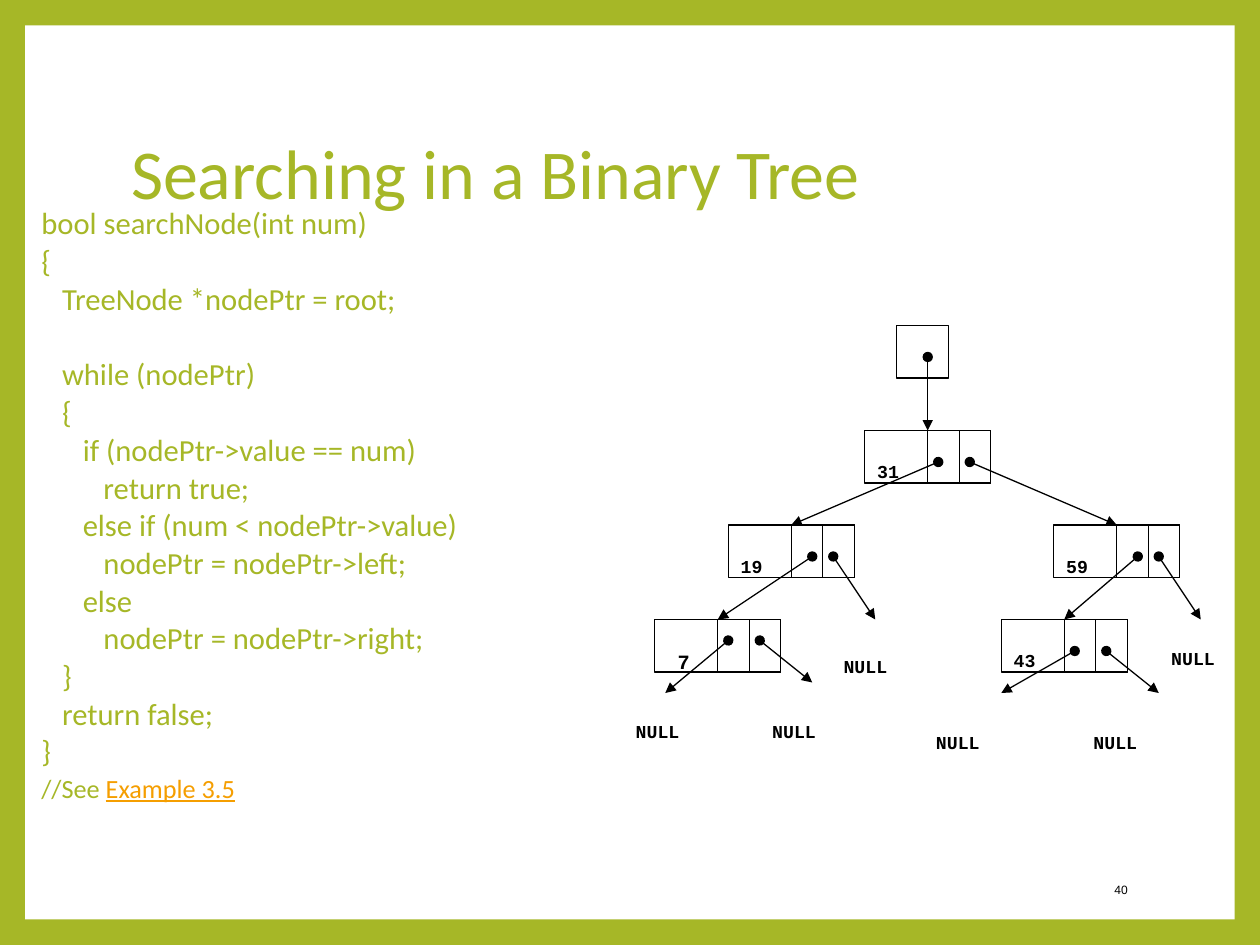
from pptx import Presentation
from pptx.dml.color import RGBColor
from pptx.enum.shapes import MSO_CONNECTOR, MSO_SHAPE
from pptx.enum.text import MSO_ANCHOR, PP_ALIGN
from pptx.oxml.ns import qn
from pptx.util import Inches, Pt
from lxml.etree import SubElement

COLORS = {"green": "A6B727", "white": "FFFFFF", "black": "000000", "link": "F59E00"}
CELLS_PER_INCH = 12
GRID_LEFT = 0.03
CODE = """bool searchNode(int num)
{
   TreeNode *nodePtr = root;

   while (nodePtr)
   {
      if (nodePtr->value == num)
         return true;
      else if (num < nodePtr->value)
         nodePtr = nodePtr->left;
      else
         nodePtr = nodePtr->right;
   }
   return false;
}"""
NODES = {"31": (82, 41), "59": (100, 50), "19": (69, 50), "7": (62, 59), "43": (95, 59)}
CHILD_LINKS = [
    ((89, 44), "19"), ((92, 44), "59"), ((77, 53), "7"), ((108, 53), "43"),
]
NULL_LINKS = [
    ((79, 53), (83, 59), (78.8, 59.8)), ((110, 53), (114, 59), (110, 59)),
    ((69, 61), (63, 66), (59, 66)), ((72, 61), (77, 65), (72, 66)),
    ((102, 62), (95, 66), (87.6, 67)), ((105, 62), (110, 66), (102.6, 67)),
]


def color(name):
    return RGBColor.from_string(COLORS[name])


def grid(column, row):
    return Inches(GRID_LEFT + column / CELLS_PER_INCH), Inches(row / CELLS_PER_INCH)


def cells(count):
    return Inches(count / CELLS_PER_INCH)


class TreeSlide:
    def __init__(self, presentation):
        self.slide = presentation.slides.add_slide(presentation.slide_layouts[5])
        self.shapes = self.slide.shapes
        self.width = presentation.slide_width
        self.height = presentation.slide_height
        self.slide.background.fill.solid()
        self.slide.background.fill.fore_color.rgb = color("green")

    def area(self, left, top, width, height):
        return (int(left * self.width), int(top * self.height),
                int(width * self.width), int(height * self.height))

    def run(self, paragraph, text, size, face, tint, bold=False, lowered=False):
        run = paragraph.add_run()
        run.text = text
        run.font.size = Pt(size)
        run.font.name = face
        run.font.bold = bold
        run.font.color.rgb = color(tint)
        if lowered:
            run.font._element.set("baseline", "-25000")
        return run

    def frame(self):
        shape = self.shapes.add_shape(
            MSO_SHAPE.RECTANGLE, *self.area(0.02, 0.027, 0.96, 0.946))
        shape.shadow.inherit = False
        shape.fill.solid()
        shape.fill.fore_color.rgb = color("white")
        shape.line.fill.background()
        self.shapes._spTree.insert(2, shape._element)

    def title(self, text):
        shape = self.shapes.title
        shape.left, shape.top, shape.width, shape.height = self.area(
            0.094, 0.089, 0.81, 0.197)
        shape.text_frame.vertical_anchor = MSO_ANCHOR.MIDDLE
        paragraph = shape.text_frame.paragraphs[0]
        paragraph.alignment = PP_ALIGN.LEFT
        paragraph.line_spacing = 0.9
        self.run(paragraph, text, 40, "Calibri", "green")

    def code(self, source, note, link):
        frame = self.shapes.add_textbox(
            *self.area(0.023, 0.225, 0.483, 0.667)).text_frame
        frame.word_wrap = True
        paragraph = frame.paragraphs[0]
        gap = 0
        for line in source.split("\n") + [note]:
            if not line:
                gap += 21.7
                continue
            if paragraph.runs:
                paragraph = frame.add_paragraph()
            paragraph.line_spacing = 0.55
            paragraph.space_before = Pt(gap)
            self.run(paragraph, line, 15 if line == note else 17.5, "Calibri", "green")
            gap = 10
        self.run(paragraph, link, 15, "Calibri", "link").font.underline = True

    def page_number(self, text):
        frame = self.shapes.add_textbox(
            *self.area(0.765, 0.908, 0.14, 0.053)).text_frame
        frame.word_wrap = True
        frame.vertical_anchor = MSO_ANCHOR.MIDDLE
        paragraph = frame.paragraphs[0]
        paragraph.alignment = PP_ALIGN.RIGHT
        self.run(paragraph, text, 12, "Arial", "black", lowered=True)

    def box(self, column, row, columns):
        shape = self.shapes.add_shape(
            MSO_SHAPE.RECTANGLE, *grid(column, row), cells(columns), cells(5))
        shape.shadow.inherit = False
        shape.fill.background()
        shape.line.color.rgb = color("black")
        shape.line.width = Pt(0.75)
        return shape

    def node(self, column, row):
        whole = self.box(column, row, 12)
        for offset in (9, 6):
            self.box(column + offset, row, 3)
        return whole

    def arrow(self, start, end=None, target=None):
        connector = self.shapes.add_connector(
            MSO_CONNECTOR.STRAIGHT, *grid(*start), *grid(*(end or start)))
        if target is not None:
            connector.end_connect(target, 0)
        connector.line.color.rgb = color("black")
        connector.line.width = Pt(0.75)
        line = connector.line._get_or_add_ln()
        SubElement(line, qn("a:headEnd"), type="oval")
        SubElement(line, qn("a:tailEnd"), type="triangle")
        SubElement(connector._element.spPr, qn("a:effectLst"))

    def label(self, text, column, row, columns, size=18):
        frame = self.shapes.add_textbox(
            *grid(column, row), cells(columns), cells(4.8)).text_frame
        frame.word_wrap = False
        self.run(frame.paragraphs[0], text, size, "Courier New", "black", True, True)


def main():
    presentation = Presentation()
    presentation.slide_width = Inches(10)
    presentation.slide_height = Inches(7.5)
    slide = TreeSlide(presentation)
    slide.frame()
    slide.title("Searching in a Binary Tree")
    slide.code(CODE, "//See ", "Example 3.5")
    slide.page_number("40")

    slide.box(85, 31, 5)
    nodes = {value: slide.node(*place) for value, place in NODES.items()}
    slide.arrow((88, 34), target=nodes["31"])
    for start, value in CHILD_LINKS:
        slide.arrow(start, target=nodes[value])
    for value, (column, row) in NODES.items():
        if value == "7":
            slide.label(value, column + 1, row, 4.4, 20)
        else:
            slide.label(value, column, row + 0.25, 6)
    for start, end, place in NULL_LINKS:
        slide.arrow(start, end)
        slide.label("NULL", *place, 9.6)

    presentation.save("out.pptx")


if __name__ == "__main__":
    main()
